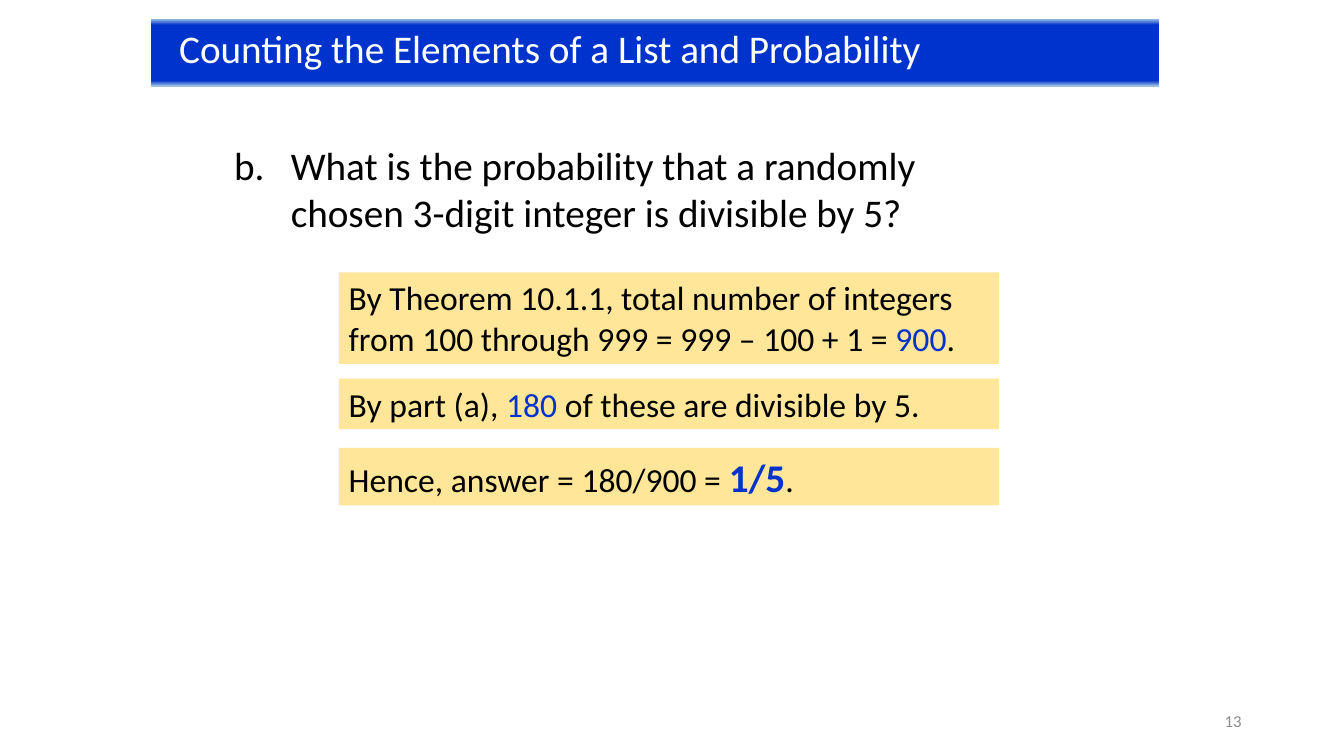
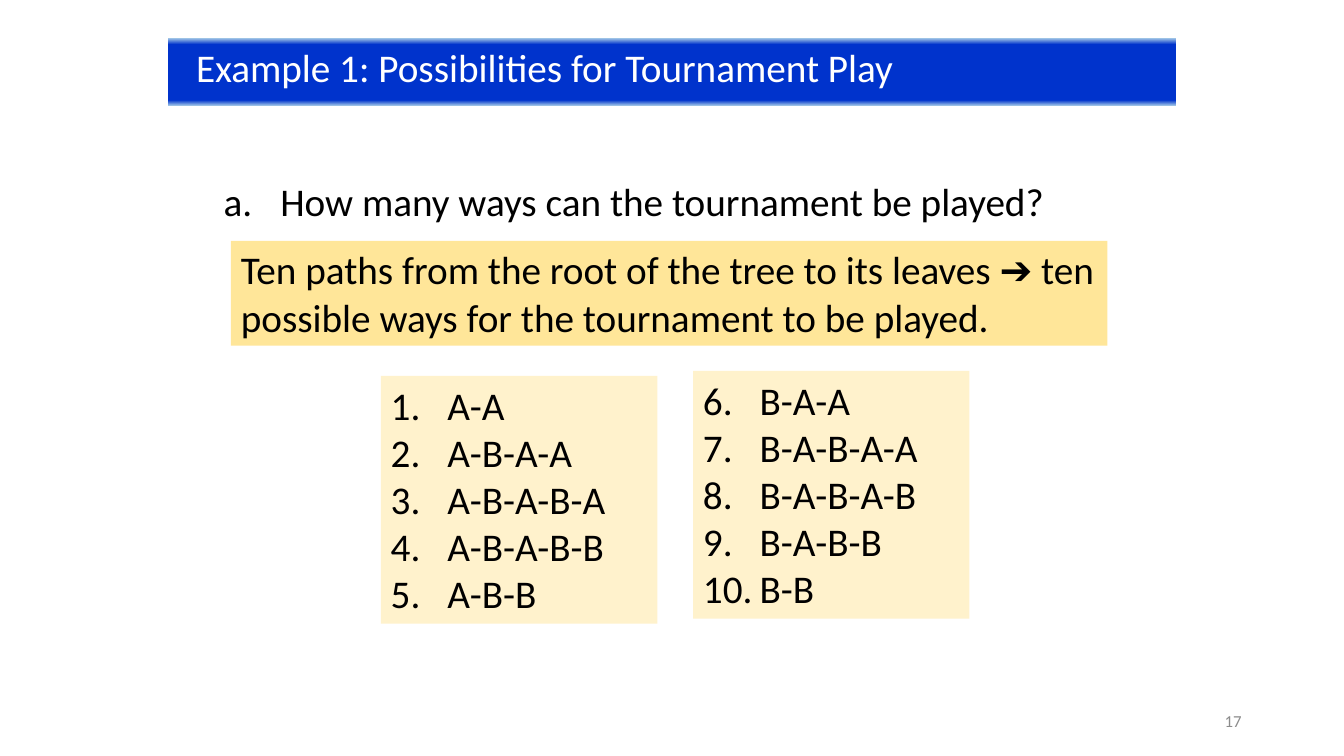
import lxml.etree
import pptx
import pptx.dml.color
import pptx.enum.shapes
import pptx.enum.text
import pptx.oxml.ns
import pptx.util

Pt = pptx.util.Pt
RGBColor = pptx.dml.color.RGBColor
ALIGN = pptx.enum.text.PP_ALIGN
ANCHOR = pptx.enum.text.MSO_ANCHOR
AUTO_SIZE = pptx.enum.text.MSO_AUTO_SIZE
qn = pptx.oxml.ns.qn

BLUE = RGBColor(0x00, 0x33, 0xCC)
LIGHT_BLUE = RGBColor(0x9D, 0xC3, 0xE6)
AMBER = RGBColor(0xFF, 0xE6, 0x99)
CREAM = RGBColor(0xFF, 0xF2, 0xCC)
GREY = RGBColor(0x8C, 0x8C, 0x8C)
BLACK = RGBColor(0x00, 0x00, 0x00)
WHITE = RGBColor(0xFF, 0xFF, 0xFF)

FONT = "Calibri"
HANGING_INDENT = 40.5
BAND_STOPS = ((0, LIGHT_BLUE), (9, BLUE), (92, BLUE), (100, LIGHT_BLUE))


def add_text(paragraph, text, size=28, color=BLACK, bold=False):
    """Append one formatted run."""
    run = paragraph.add_run()
    run.text = text
    run.font.name = FONT
    run.font.size = Pt(size)
    run.font.bold = bold
    run.font.color.rgb = color


def number(paragraph, scheme, start):
    """Give a paragraph an automatic number with a hanging indent."""
    properties = paragraph._p.get_or_add_pPr()
    properties.set("marL", str(Pt(HANGING_INDENT)))
    properties.set("indent", str(-Pt(HANGING_INDENT)))
    lxml.etree.SubElement(properties, qn("a:buAutoNum"),
                          type=scheme, startAt=str(start))


class Deck:
    """The shared style and the slide being built."""

    def __init__(self):
        self.presentation = pptx.Presentation()
        self.presentation.slide_width = Pt(960)
        self.presentation.slide_height = Pt(540)
        self.slide = None

    def new_slide(self, page):
        layout = self.presentation.slide_layouts[1]
        self.slide = self.presentation.slides.add_slide(layout)
        # Page number
        footer = self.slide.shapes.add_textbox(Pt(678), Pt(500), Pt(216), Pt(29))
        frame = self.frame(footer, anchor=ANCHOR.MIDDLE)
        frame.paragraphs[0].alignment = ALIGN.RIGHT
        add_text(frame.paragraphs[0], page, size=12, color=GREY)

    def place(self, shape, left, top, width, height):
        shape.left, shape.top = Pt(left), Pt(top)
        shape.width, shape.height = Pt(width), Pt(height)

    def frame(self, shape, anchor=ANCHOR.TOP, auto_size=AUTO_SIZE.NONE):
        frame = shape.text_frame
        frame.word_wrap = True
        frame.auto_size = auto_size
        frame.vertical_anchor = anchor
        return frame

    def title(self, text, left, top):
        band = self.slide.shapes.title
        self.place(band, left, top, 720, 48)
        band.fill.gradient()
        band.fill.gradient_angle = 270
        stops = band._element.spPr.find(".//" + qn("a:gsLst"))
        stops.clear()
        for percent, color in BAND_STOPS:
            stop = lxml.etree.SubElement(stops, qn("a:gs"), pos=str(percent * 1000))
            lxml.etree.SubElement(stop, qn("a:srgbClr"), val=str(color))
        frame = self.frame(band)
        frame.margin_left = Pt(20)
        frame.paragraphs[0].alignment = ALIGN.LEFT
        add_text(frame.paragraphs[0], text, color=WHITE)

    def question(self, text, start, left, top, width, height):
        body = self.slide.placeholders[1]
        self.place(body, left, top, width, height)
        paragraph = self.frame(body).paragraphs[0]
        number(paragraph, "alphaLcPeriod", start)
        paragraph.space_before = Pt(0)
        add_text(paragraph, text)

    def panel(self, left, top, width, height, color):
        """Add a filled box and return its text frame."""
        box = self.slide.shapes.add_shape(
            pptx.enum.shapes.MSO_SHAPE.RECTANGLE,
            Pt(left), Pt(top), Pt(width), Pt(height))
        box.shadow.inherit = False
        box.fill.solid()
        box.fill.fore_color.rgb = color
        box.line.fill.background()
        return self.frame(box, auto_size=AUTO_SIZE.SHAPE_TO_FIT_TEXT)

    def answer(self, pieces, left, top, width, height, size=24):
        """Add a box of text pieces, each with its own format."""
        paragraph = self.panel(left, top, width, height, AMBER).paragraphs[0]
        paragraph.alignment = ALIGN.LEFT
        for text, style in pieces:
            add_text(paragraph, text, **{"size": size, **style})

    def numbered_list(self, items, start, left, top):
        frame = self.panel(left, top, 197.5, 177, CREAM)
        for index, item in enumerate(items):
            paragraph = frame.add_paragraph() if index else frame.paragraphs[0]
            number(paragraph, "arabicPeriod", start)
            paragraph.alignment = ALIGN.LEFT
            add_text(paragraph, item)


def main():
    deck = Deck()
    result = {"color": BLUE}

    # Probability of divisibility by 5
    deck.new_slide("13")
    deck.title("Counting the Elements of a List and Probability", 108, 13.5)
    deck.question("What is the probability that a randomly chosen 3-digit "
                  "integer is divisible by 5?", 2, 160, 97, 546, 84)
    steps = (
        (194.5, 65.5, (("By Theorem 10.1.1, total number of integers from 100 "
                        "through 999 = 999 – 100 + 1 = ", {}),
                       ("900", result), (".", {}))),
        (270.5, 36, (("By part (a), ", {}), ("180", result),
                     (" of these are divisible by 5.", {}))),
        (320, 41, (("Hence, answer = 180/900 = ", {}),
                   ("1/5", {**result, "size": 28, "bold": True}), (".", {}))),
    )
    for top, height, pieces in steps:
        deck.answer(pieces, 242, top, 471.5, height)

    # Ways to play the tournament
    deck.new_slide("17")
    deck.title("Example 1: Possibilities for Tournament Play", 120, 27.5)
    deck.question("How many ways can the tournament be played?",
                  1, 152.5, 123, 648, 47)
    deck.answer((("Ten paths from the root of the tree to its leaves ➔ ten "
                  "possible ways for the tournament to be played.", {}),),
                165, 172, 626, 75, size=28)
    deck.numbered_list(("A-A", "A-B-A-A", "A-B-A-B-A", "A-B-A-B-B", "A-B-B"),
                       1, 272, 268.5)
    deck.numbered_list(("B-A-A", "B-A-B-A-A", "B-A-B-A-B", "B-A-B-B", "B-B"),
                       6, 495, 265)

    deck.presentation.save("out.pptx")


if __name__ == "__main__":
    main()
